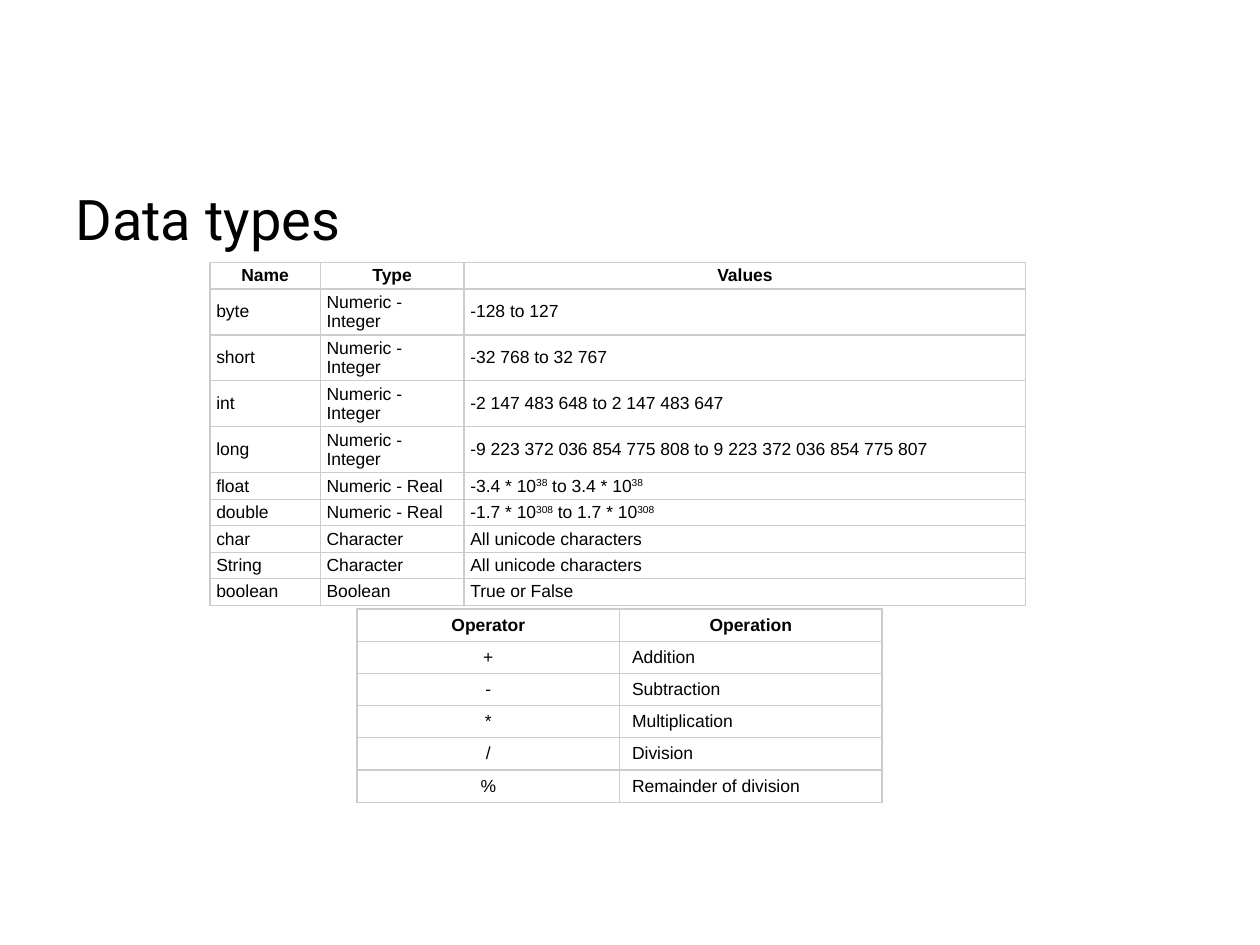
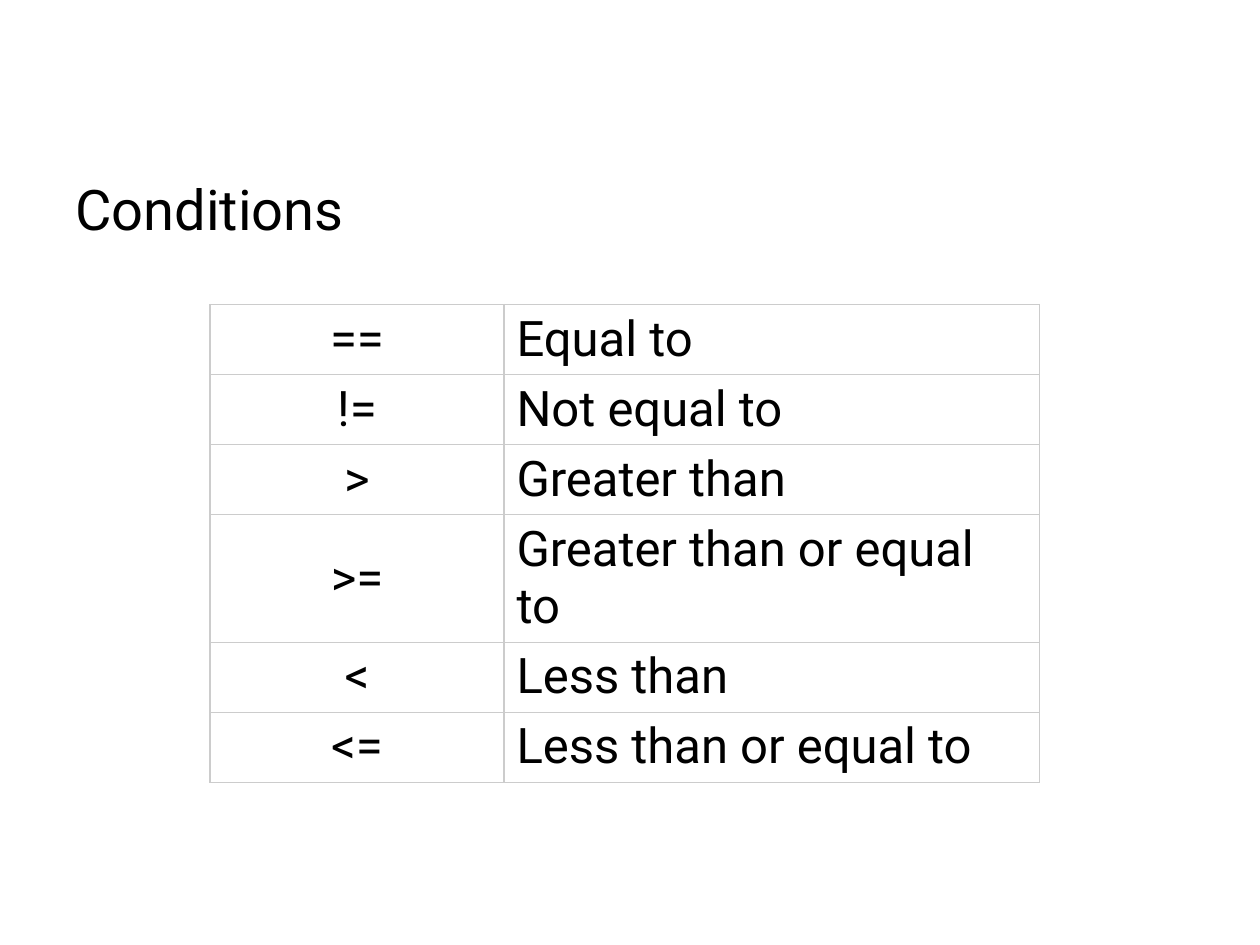
from lxml.etree import SubElement as Sub
from pptx import Presentation
from pptx.dml.color import RGBColor
from pptx.enum.text import MSO_ANCHOR as Anchor, PP_ALIGN as Align
from pptx.oxml.ns import qn
from pptx.util import Inches, Pt

BLACK = RGBColor(0, 0, 0)
WHITE = RGBColor(255, 255, 255)
GREY = RGBColor(0xCC, 0xCC, 0xCC)
SANS, HEAD = "Arial", "Roboto"

TYPES = [
    ("Name", "Type", "Values"),
    ("byte", "Numeric - Integer", "-128 to 127"),
    ("short", "Numeric - Integer", "-32 768 to 32 767"),
    ("int", "Numeric - Integer", "-2 147 483 648 to 2 147 483 647"),
    ("long", "Numeric - Integer",
     "-9 223 372 036 854 775 808 to 9 223 372 036 854 775 807"),
    ("float", "Numeric - Real", "-3.4 * 10^38^ to 3.4 * 10^38^"),
    ("double", "Numeric - Real", "-1.7 * 10^308^ to 1.7 * 10^308^"),
    ("char", "Character", "All unicode characters"),
    ("String", "Character", "All unicode characters"),
    ("boolean", "Boolean", "True or False"),
]
MATHS = [
    ("Operator", "Operation"),
    ("+", "Addition"),
    ("-", "Subtraction"),
    ("*", "Multiplication"),
    ("/", "Division"),
    ("%", "Remainder of division"),
]
TESTS = [
    ("==", "Equal to"),
    ("!=", "Not equal to"),
    (">", "Greater than"),
    (">=", "Greater than or equal to"),
    ("<", "Less than"),
    ("<=", "Less than or equal to"),
]


def unit(n):
    """Length of n grid steps, twelve to the inch."""
    return round(Inches(1) * n / 12)


def style(para, face, size, bold=False):
    font = para.font
    font.name, font.size, font.bold = face, Pt(size), bold
    font.color.rgb = BLACK


def add_title(slide, text, top, high):
    box = slide.shapes.add_textbox(unit(6), unit(top), unit(108), unit(high))
    frame = box.text_frame
    frame.word_wrap = True
    para = frame.paragraphs[0]
    para.text = text
    style(para, HEAD, 32)


def add_edges(cell):
    props = cell._tc.get_or_add_tcPr()
    for side in "LRTB":
        line = Sub(props, qn(f"a:ln{side}"), w=str(Pt(0.75)))
        fill = Sub(line, qn("a:solidFill"))
        Sub(fill, qn("a:srgbClr"), val=str(GREY))


def write(para, text):
    """Write text, raising the parts between carets."""
    for i, part in enumerate(text.split("^")):
        if part:
            run = para.add_run()
            run.text = part
            if i % 2:
                run._r.get_or_add_rPr().set("baseline", "30000")


def add_grid(slide, data, left, top, cols, rows, face=SANS, size=10,
             header=True, mid=True, pad=(0.1, 0.04)):
    """Add a table; mid centres the first column, pad is (side, end) inches.

    Rows must be taller than their text, so that none grows when drawn.
    """
    shape = slide.shapes.add_table(len(data), len(cols), unit(left), unit(top),
                                   unit(sum(cols)), unit(sum(rows)))
    table = shape.table
    table.first_row = table.horz_banding = False
    for col, wide in zip(table.columns, cols):
        col.width = unit(wide)
    for row, high in zip(table.rows, rows):
        row.height = unit(high)
    side, end = pad
    for r, line in enumerate(data):
        for c, text in enumerate(line):
            cell = table.cell(r, c)
            add_edges(cell)
            cell.fill.solid()
            cell.fill.fore_color.rgb = WHITE
            cell.vertical_anchor = Anchor.MIDDLE
            cell.margin_left = cell.margin_right = Inches(side)
            cell.margin_top = cell.margin_bottom = Inches(end)
            top_row = header and r == 0
            para = cell.text_frame.paragraphs[0]
            if top_row or (mid and c == 0):
                para.alignment = Align.CENTER
            style(para, face, size, top_row)
            write(para, text)


def main():
    deck = Presentation()
    deck.slide_width, deck.slide_height = Inches(10), Inches(7.5)
    blank = deck.slide_layouts[6]

    slide = deck.slides.add_slide(blank)
    add_title(slide, "Data types", 17, 63)
    highs = [4.38 if "Integer" in line[1] else 2.52 for line in TYPES]
    add_grid(slide, TYPES, 20, 25, (10.5, 13.7, 53.5), highs,
             mid=False, pad=(0.05, 0.01))
    add_grid(slide, MATHS, 34, 58, (25, 25), [3.07] * len(MATHS))

    slide = deck.slides.add_slide(blank)
    add_title(slide, "Conditions", 16, 39)
    highs = [12.1 if line[0] == ">=" else 6.67 for line in TESTS]
    add_grid(slide, TESTS, 20, 29, (28, 51), highs, HEAD, 28, header=False)

    deck.save("out.pptx")


if __name__ == "__main__":
    main()
